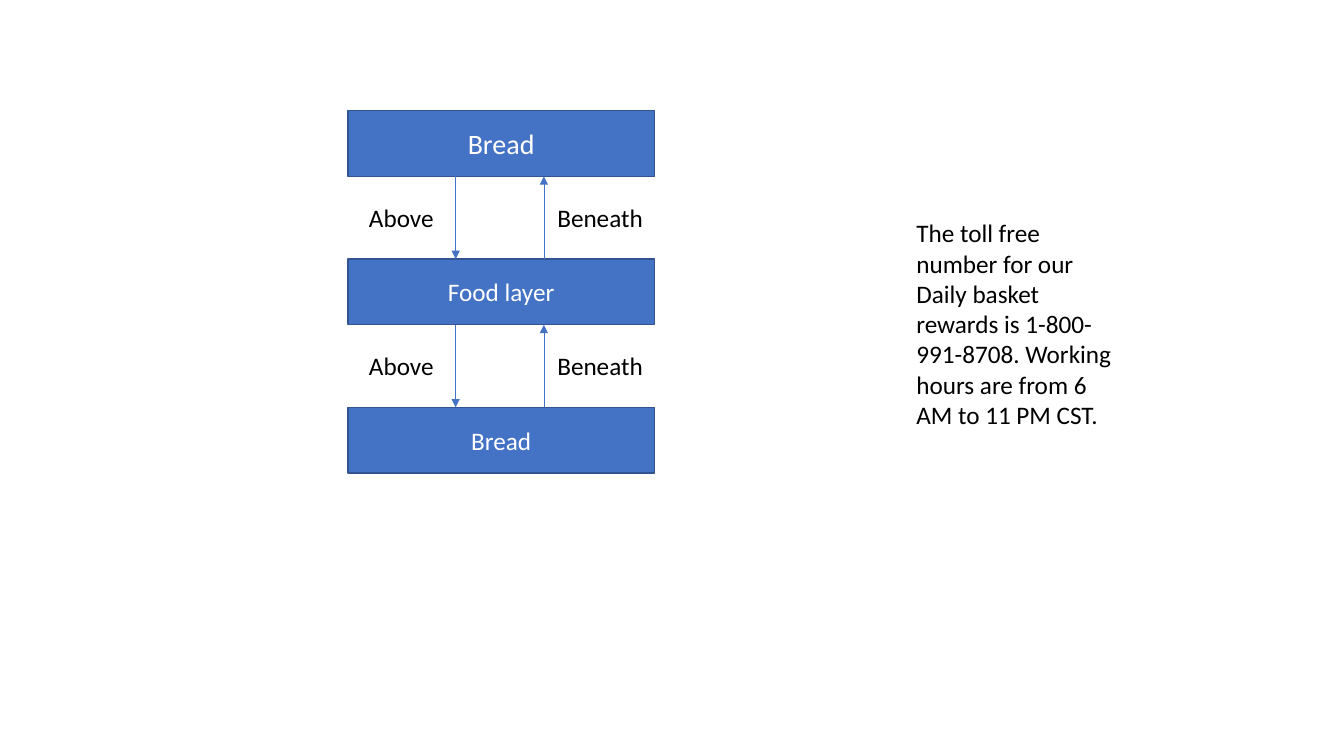
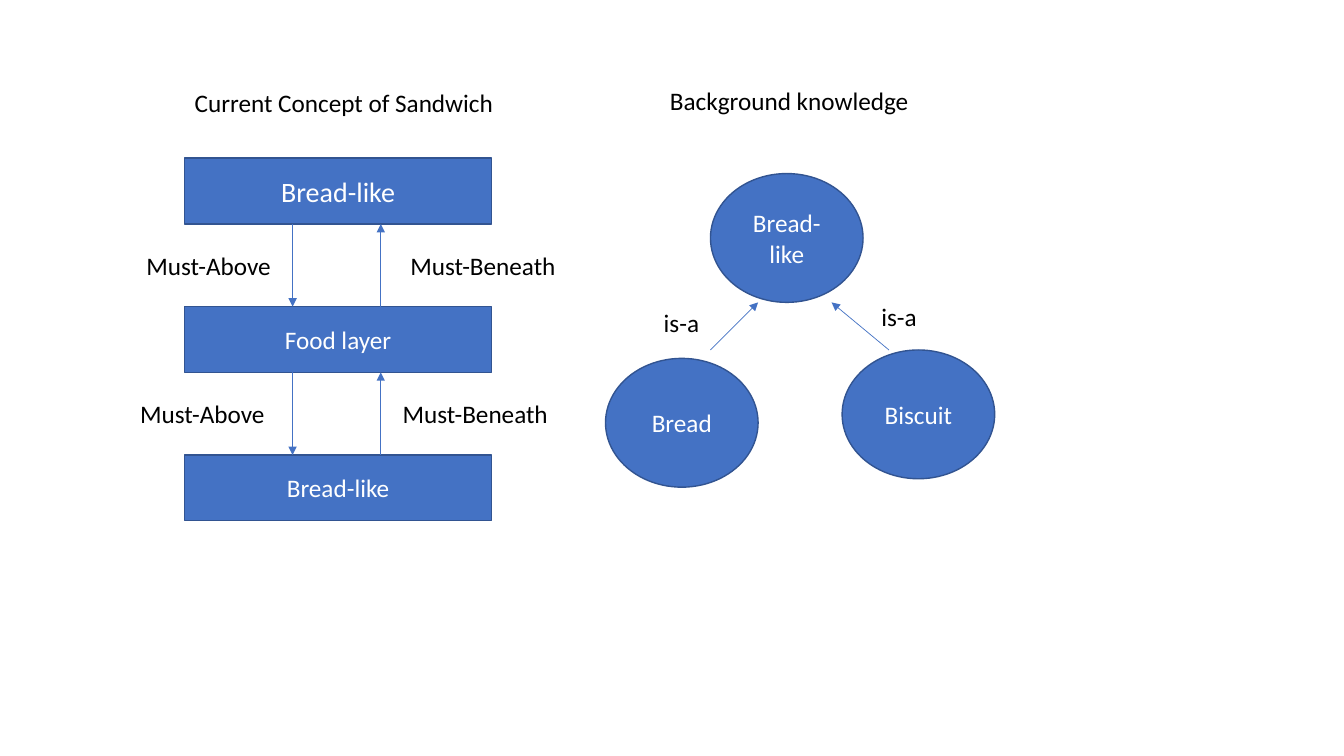
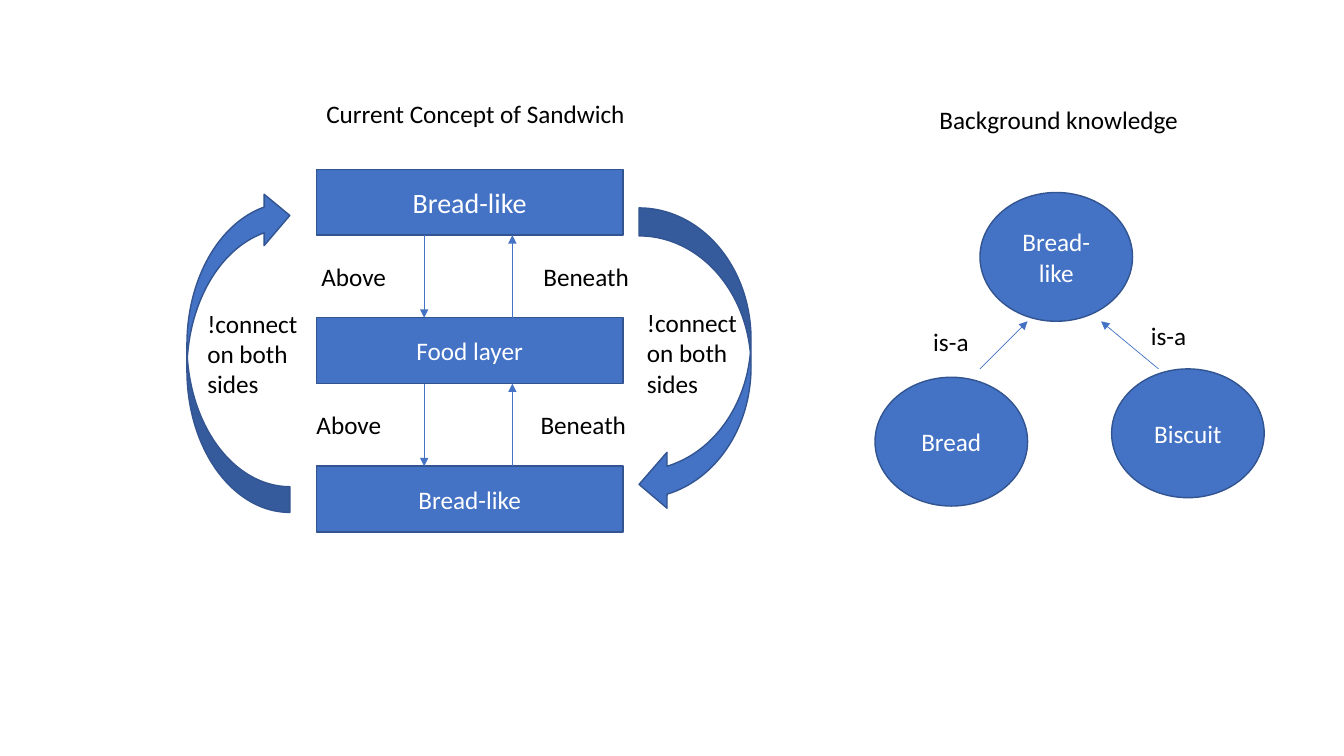
"""Build three slides that explain the concept of a sandwich with diagrams."""
from lxml import etree
from pptx import Presentation
from pptx.dml.color import RGBColor
from pptx.enum.shapes import MSO_CONNECTOR, MSO_SHAPE
from pptx.enum.text import MSO_ANCHOR, MSO_AUTO_SIZE, PP_ALIGN
from pptx.oxml.ns import qn
from pptx.util import Pt

RECTANGLE = MSO_SHAPE.RECTANGLE
OVAL = MSO_SHAPE.OVAL
CURVED_ARROW = MSO_SHAPE.CURVED_LEFT_ARROW
STRAIGHT = MSO_CONNECTOR.STRAIGHT
MIDDLE = MSO_ANCHOR.MIDDLE
GROW = MSO_AUTO_SIZE.SHAPE_TO_FIT_TEXT
LEFT, CENTER = PP_ALIGN.LEFT, PP_ALIGN.CENTER

FONT = "Calibri"
BLUE, OUTLINE, WHITE, BLACK = "4472C4", "325491", "FFFFFF", "000000"

LAYER_WIDTH, LAYER_HEIGHT, LAYER_PITCH = 219, 47, 106
DOWN_OFFSET, UP_OFFSET = 77, 140
NODE_WIDTH, NODE_HEIGHT = 109, 92
LABEL_HEIGHT = 29
LABEL_WIDTHS = {
    "Above": 61,
    "Beneath": 76.5,
    "Must-Above": 105,
    "Must-Beneath": 120,
    "is-a": 40.5,
    "Current Concept of Sandwich": 230.5,
    "Background knowledge": 186.5,
}


def color(value):
    """Turn a hex string into a colour."""
    return RGBColor.from_string(value)


def write_text(frame, text, size=18, font_color=BLACK, align=LEFT):
    """Write text into a frame, one paragraph a line."""
    for index, line in enumerate(text.split("\n")):
        paragraph = frame.add_paragraph() if index else frame.paragraphs[0]
        paragraph.alignment = align
        run = paragraph.add_run()
        run.text = line
        run.font.name = FONT
        run.font.size = Pt(size)
        run.font.color.rgb = color(font_color)


def add_text(slide, text, left, top, width, height=LABEL_HEIGHT, wrap=False):
    """Add a text box that grows with its text."""
    box = slide.shapes.add_textbox(Pt(left), Pt(top), Pt(width), Pt(height))
    box.text_frame.word_wrap = wrap
    box.text_frame.auto_size = GROW
    write_text(box.text_frame, text)


def add_label(slide, text, left, top):
    """Add a one-line label of known width."""
    add_text(slide, text, left, top, LABEL_WIDTHS[text])


def add_block(slide, kind, left, top, width, height, text="", size=18):
    """Add a filled blue shape with centred white text."""
    shape = slide.shapes.add_shape(kind, Pt(left), Pt(top), Pt(width), Pt(height))
    shape.shadow.inherit = False
    shape.fill.solid()
    shape.fill.fore_color.rgb = color(BLUE)
    shape.line.color.rgb = color(OUTLINE)
    shape.line.width = Pt(1)
    if text:
        shape.text_frame.word_wrap = True
        shape.text_frame.vertical_anchor = MIDDLE
        write_text(shape.text_frame, text, size=size, font_color=WHITE, align=CENTER)
    return shape


def add_arrow(slide, start_x, start_y, end_x, end_y):
    """Add a thin straight arrow."""
    arrow = slide.shapes.add_connector(
        STRAIGHT, Pt(start_x), Pt(start_y), Pt(end_x), Pt(end_y))
    arrow.line.color.rgb = color(BLUE)
    arrow.line.width = Pt(0.5)
    line = arrow.line._get_or_add_ln()
    etree.SubElement(line, qn("a:tailEnd"), type="triangle")
    etree.SubElement(arrow._element.spPr, qn("a:effectLst"))


def add_sandwich(slide, left, top, bread, relations, label_offsets):
    """Add three layers joined by labelled arrows both ways."""
    for row, text in enumerate((bread, "Food layer", bread)):
        add_block(slide, RECTANGLE, left, top + row * LAYER_PITCH,
                  LAYER_WIDTH, LAYER_HEIGHT, text, size=18 if row else 20)
    gap = LAYER_PITCH - LAYER_HEIGHT
    for row, offsets in enumerate(label_offsets):
        upper = top + row * LAYER_PITCH + LAYER_HEIGHT
        lower = upper + gap
        add_arrow(slide, left + DOWN_OFFSET, upper, left + DOWN_OFFSET, lower)
        add_arrow(slide, left + UP_OFFSET, lower, left + UP_OFFSET, upper)
        for text, offset in zip(relations, offsets):
            add_label(slide, text, left + offset, upper + (gap - LABEL_HEIGHT) / 2)


def add_concept(slide, left, top, relations, label_offsets):
    """Add the headed sandwich concept."""
    add_label(slide, "Current Concept of Sandwich", left, top - 54)
    add_sandwich(slide, left, top, "Bread-like", relations, label_offsets)


def add_background(slide, left, top):
    """Add the headed tree of is-a relations, placed by its root."""
    add_label(slide, "Background knowledge", left - 36, top - 66.5)
    for text, x, y in (("Bread-like", 0, 0), ("Bread", -75, 132), ("Biscuit", 94, 126)):
        add_block(slide, OVAL, left + x, top + y, NODE_WIDTH, NODE_HEIGHT, text)
    for start_x, end_x in ((0, 34), (127.5, 86.5)):
        add_arrow(slide, left + start_x, top + 126, left + end_x, top + NODE_HEIGHT)
    for x, y in ((-40.5, 92), (115, 87.5)):
        add_label(slide, "is-a", left + x, top + y)


def build_plain_sandwich(slide):
    """Build the slide with the first sandwich and a note."""
    add_sandwich(slide, 248.5, 79, "Bread", ("Above", "Beneath"), [(8, 142.5)] * 2)
    add_text(slide, "The toll free number for our Daily basket rewards is "
             "1-800-991-8708. Working hours are from 6 AM to 11 PM CST.",
             647.5, 152, 160.5, 160, wrap=True)


def build_required_relations(slide):
    """Build the slide with must relations."""
    add_concept(slide, 132, 113, ("Must-Above", "Must-Beneath"),
                [(-34.5, 154), (-39, 148.5)])
    add_background(slide, 507.5, 124)


def build_unconnected_sides(slide):
    """Build the slide with curved arrows around the sandwich."""
    add_concept(slide, 226, 121, ("Above", "Beneath"), [(-3.5, 155), (-7, 153)])
    add_background(slide, 700, 137.5)
    add_block(slide, CURVED_ARROW, 456.5, 148.5, 80, 217.5)
    add_block(slide, CURVED_ARROW, 133.5, 135.5, 73.5, 230.5).rotation = 180
    for left, top in ((455, 216), (141, 216.5)):
        add_text(slide, "!connect\non both\nsides", left, top, 80, 72.5)


def main():
    """Build and save the presentation."""
    presentation = Presentation()
    presentation.slide_width = Pt(960)
    presentation.slide_height = Pt(540)
    blank = presentation.slide_layouts[6]
    for build in (build_plain_sandwich, build_required_relations, build_unconnected_sides):
        build(presentation.slides.add_slide(blank))
    presentation.save("out.pptx")


if __name__ == "__main__":
    main()
